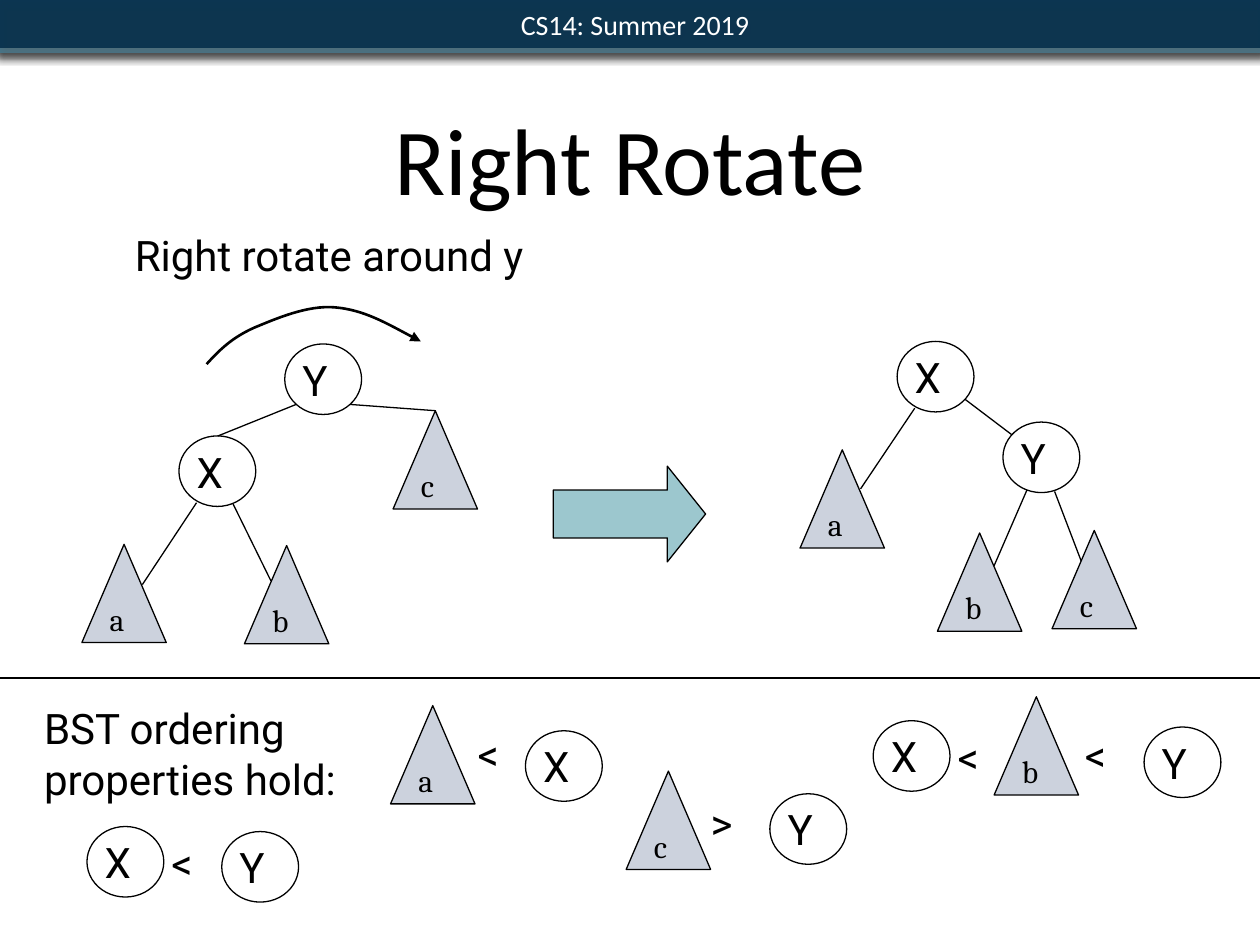
from dataclasses import dataclass
from lxml.etree import SubElement
from pptx import Presentation
from pptx.dml.color import RGBColor
from pptx.enum.shapes import MSO_CONNECTOR, MSO_SHAPE
from pptx.enum.text import MSO_ANCHOR, MSO_AUTO_SIZE, PP_ALIGN
from pptx.oxml.ns import qn
from pptx.util import Inches, Pt


@dataclass(frozen=True)
class Theme:
    ink: RGBColor = RGBColor(0, 0, 0)
    white: RGBColor = RGBColor(255, 255, 255)
    navy: RGBColor = RGBColor(0x06, 0x2F, 0x4B)
    steel: RGBColor = RGBColor(0x42, 0x7A, 0x92)
    leaf: RGBColor = RGBColor(0xCC, 0xD2, 0xDD)
    teal: RGBColor = RGBColor(0x9C, 0xC7, 0xCE)
    head: str = "Calibri"
    body: str = "Roboto"
    serif: str = "Cambria"
    title: int = 54
    large: int = 24
    small: int = 18
    bar: int = 16
    thin: float = 0.75
    bold: float = 1.5


theme = Theme()
deck = Presentation()
deck.slide_width, deck.slide_height = Inches(10), Inches(7.5)
col, row = deck.slide_width / 100, deck.slide_height / 75
slide = deck.slides.add_slide(deck.slide_layouts[5])
shapes = slide.shapes


def grid(*spots):
    """Turn alternating columns and rows into lengths."""
    return [round(n * (row if i % 2 else col)) for i, n in enumerate(spots)]


def write(shape, words, font=theme.body, size=theme.large, color=theme.ink,
          align=PP_ALIGN.LEFT, anchor=MSO_ANCHOR.TOP, inset=0.05,
          wrap=False, fit=MSO_AUTO_SIZE.SHAPE_TO_FIT_TEXT):
    frame = shape.text_frame
    frame.text = words
    frame.word_wrap, frame.auto_size = wrap, fit
    frame.vertical_anchor = anchor
    frame.margin_left = frame.margin_right = Inches(inset)
    frame.margin_top = frame.margin_bottom = Inches(inset)
    for para in frame.paragraphs:
        para.alignment = align
        for run in para.runs:
            run.font.name, run.font.size = font, Pt(size)
            run.font.color.rgb = color
    return frame


# Header bars: place, fill, opacity, shadow colour and opacity
bars = [((-0.4, -0.6, 100.7, 4.8), theme.steel, 100, "000000", 75),
        ((-0.1, 0, 100.3, 3.8), theme.navy, 90, "5E5E5E", 50)]
for place, fill, alpha, shade, depth in bars:
    bar = shapes.add_shape(MSO_SHAPE.RECTANGLE, *grid(*place))
    bar.fill.solid()
    bar.fill.fore_color.rgb = fill
    bar.line.fill.background()
    bar.shadow.inherit = False
    props = bar._element.spPr
    tint = props.find(qn("a:solidFill"))[0]
    SubElement(tint, qn("a:alpha"), val=str(alpha * 1000))
    cast = SubElement(props.find(qn("a:effectLst")), qn("a:outerShdw"),
                      blurRad=str(Pt(5)), dist=str(Pt(2)), dir="5400000",
                      rotWithShape="0")
    tint = SubElement(cast, qn("a:srgbClr"), val=shade)
    SubElement(tint, qn("a:alpha"), val=str(depth * 1000))
frame = write(bar, "CS14: Summer 2019", font=theme.head, size=theme.bar,
              color=theme.white, align=PP_ALIGN.CENTER, inset=0.06,
              anchor=MSO_ANCHOR.MIDDLE, wrap=True, fit=MSO_AUTO_SIZE.NONE)
frame.paragraphs[0]._p.get_or_add_pPr().set("indent", str(Inches(0.07)))

# Title, in front of the bars
title = shapes.title
title.left, title.top, title.width, title.height = grid(5, 0, 90, 17.5)
frame = write(title, "Right Rotate", font=theme.head, size=theme.title,
              align=PP_ALIGN.CENTER, anchor=MSO_ANCHOR.BOTTOM, wrap=True,
              fit=MSO_AUTO_SIZE.NONE)
frame.paragraphs[0].line_spacing = Pt(58)
shapes._spTree.append(title._element)

# Captions and comparison signs
signs = [("<", 13.1, 66), ("<", 37.4, 57.3), (">", 55.9, 62.8),
         ("<", 75.5, 57.6), ("<", 85.6, 57.4)]
notes = [("Right rotate around y", 10.2, 17.7, 32.6, 5),
         ("BST ordering\nproperties hold:", 3, 55.3, 24.4, 9.1)]
for words, *place in notes + [(*sign, 3.6, 5) for sign in signs]:
    write(shapes.add_textbox(*grid(*place)), words)

# Tree nodes: capitals are keys in circles, small letters are subtrees
nodes = [
    # before
    ("Y", 22.6, 27.3), ("X", 14.2, 34.6),
    ("a", 6.5, 43.2), ("b", 19.4, 43.3), ("c", 31.2, 32.6),
    # after
    ("Y", 79.6, 33.5), ("X", 71.2, 27.1),
    ("a", 63.5, 35.7), ("b", 74.4, 42.3), ("c", 83.5, 42.1),
    # ordering rules
    ("X", 6.9, 65.6), ("Y", 17.6, 66), ("a", 31, 56), ("X", 41.7, 58),
    ("c", 49.7, 61.2), ("Y", 61.1, 63), ("X", 69.3, 57.2),
    ("b", 78.9, 55.3), ("Y", 90.8, 57.7),
]
for name, x, y in nodes:
    group = shapes.add_group_shape().shapes
    if name.isupper():
        node = group.add_shape(MSO_SHAPE.OVAL, *grid(x, y, 6.1, 5.6))
        node.fill.background()
        label = group.add_textbox(*grid(x + 0.9, y + 0.3, 3.1, 5))
        write(label, name, anchor=MSO_ANCHOR.MIDDLE)
    else:
        node = group.add_shape(MSO_SHAPE.ISOSCELES_TRIANGLE,
                               *grid(x, y, 6.7, 7.8))
        node.fill.solid()
        node.fill.fore_color.rgb = theme.leaf
        wide = 2.4 if name == "b" else 2.2
        label = group.add_textbox(*grid(x + 1.7, y + 3.8, wide, 4.2))
        write(label, name, font=theme.serif, size=theme.small,
              anchor=MSO_ANCHOR.MIDDLE)
    node.line.color.rgb, node.line.width = theme.ink, Pt(theme.thin)
    node.shadow.inherit = False

# Tree edges and the line above the ordering rules
edges = [
    (27.8, 32.1, 34.6, 32.6), (23.5, 32.1, 17.3, 34.6),
    (18.5, 40, 21.5, 46.1), (15.6, 39.9, 11.3, 46.4),
    (83.7, 39, 85.8, 44.5), (72.6, 32.4, 68.3, 38.8),
    (76.6, 31.7, 80.3, 34.5), (81.5, 38.9, 78.9, 44.9),
    (0, 53.8, 100, 53.8),
]
for ends in edges:
    edge = shapes.add_connector(MSO_CONNECTOR.STRAIGHT, *grid(*ends))
    edge.line.color.rgb, edge.line.width = theme.ink, Pt(theme.thin)
    SubElement(edge._element.spPr, qn("a:effectLst"))

# Arrow from before to after
arrow = shapes.add_shape(MSO_SHAPE.RIGHT_ARROW, *grid(43.9, 37, 12.1, 7.6))
arrow.adjustments[0], arrow.adjustments[1] = 0.5, 0.4
arrow.fill.solid()
arrow.fill.fore_color.rgb = theme.teal
arrow.line.color.rgb, arrow.line.width = theme.ink, Pt(theme.thin)
arrow.shadow.inherit = False

# Rotation arc: each three points after the start make one Bezier curve
start, *bends = [(16.4, 28.9), (17.4, 27.8), (18.4, 26.8), (20.2, 26),
                 (21.9, 25.3), (24.4, 24.2), (26.6, 24.4),
                 (28.9, 24.6), (31.1, 25.9), (33.4, 27.1)]
pen = shapes.build_freeform(*grid(*start))
pen.add_line_segments([grid(*bend) for bend in bends], close=False)
arc = pen.convert_to_shape()
arc.fill.background()
arc.line.color.rgb, arc.line.width = theme.ink, Pt(theme.bold)
arc.shadow.inherit = False
props = arc._element.spPr
SubElement(props.find(qn("a:ln")), qn("a:tailEnd"), type="triangle")
track = next(props.iter(qn("a:path")))
steps = track.findall(qn("a:lnTo"))
for i in range(0, len(steps), 3):
    curve = SubElement(track, qn("a:cubicBezTo"))
    for step in steps[i:i + 3]:
        curve.append(step[0])
        track.remove(step)

deck.save("out.pptx")
